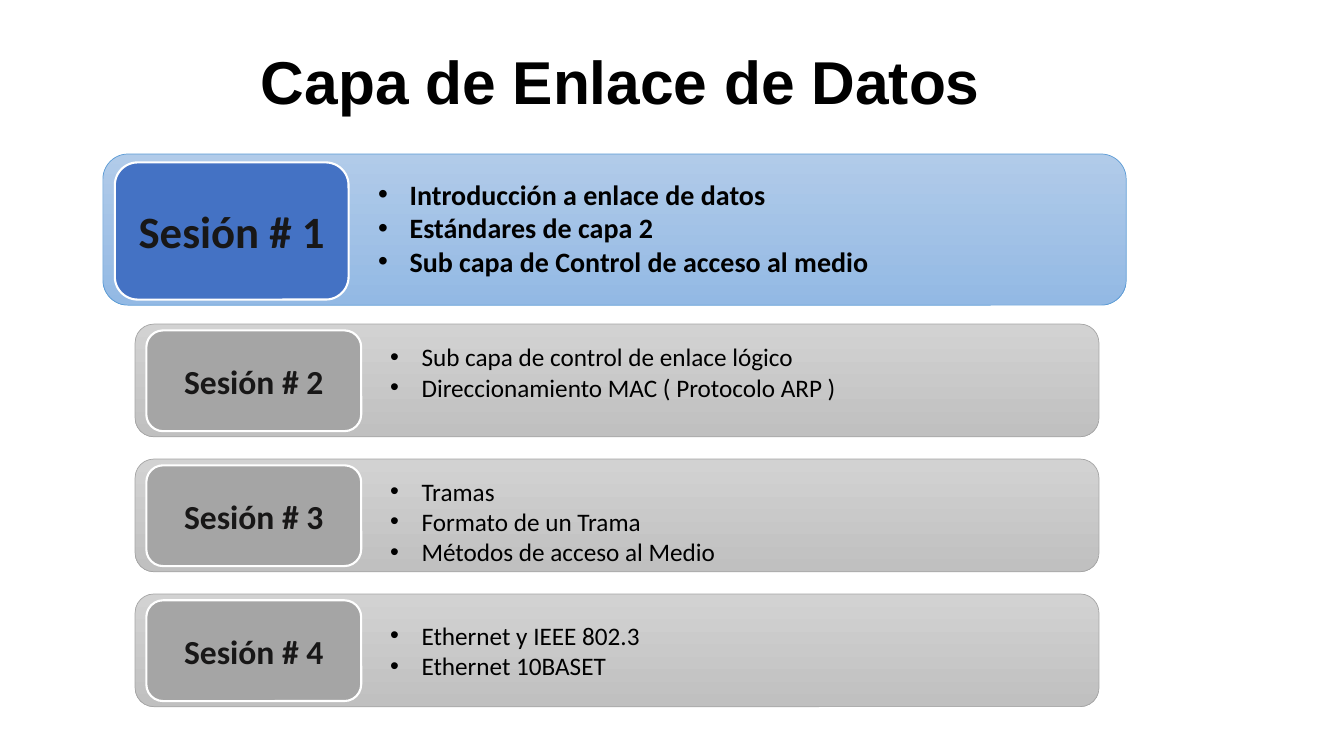
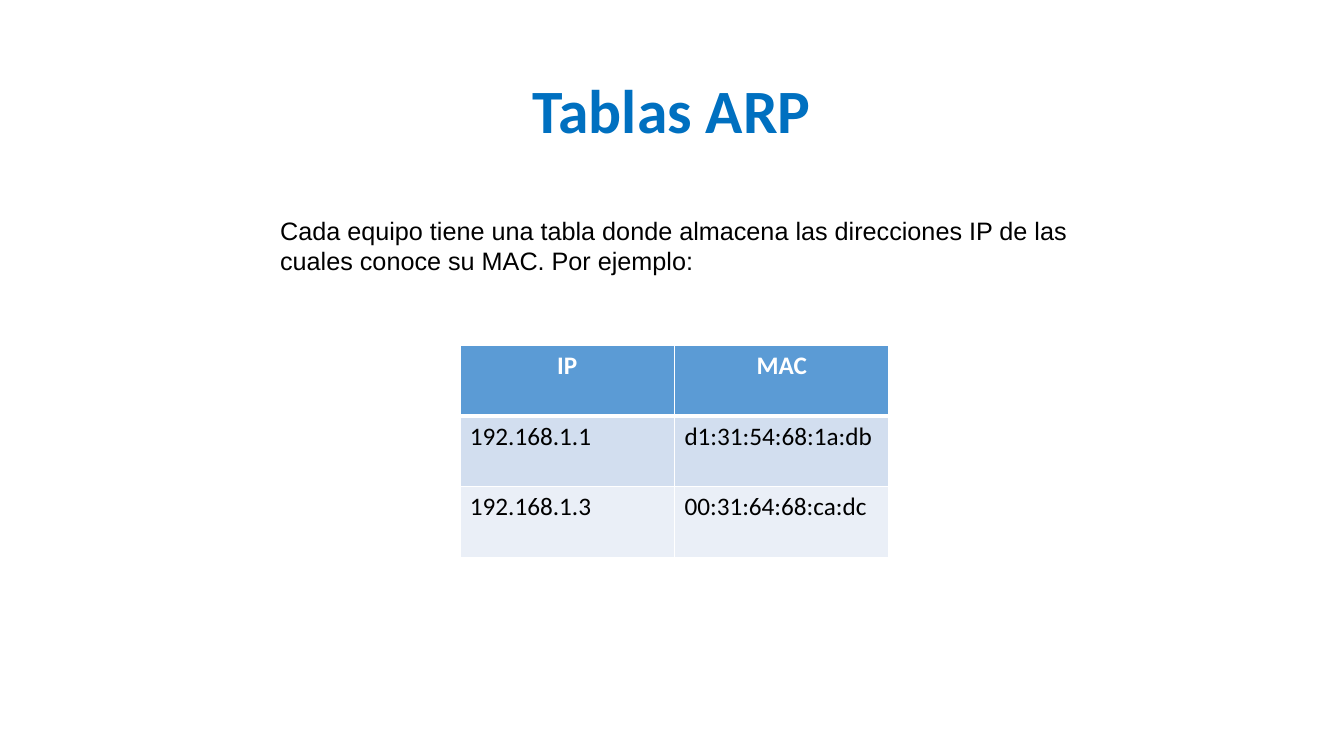
from dataclasses import dataclass

from lxml import etree
from pptx import Presentation
from pptx.dml.color import RGBColor
from pptx.enum.shapes import MSO_SHAPE
from pptx.enum.text import MSO_ANCHOR, PP_ALIGN
from pptx.oxml.ns import qn
from pptx.util import Pt

ROUNDED = MSO_SHAPE.ROUNDED_RECTANGLE
LEFT, CENTER = PP_ALIGN.LEFT, PP_ALIGN.CENTER
TOP, MIDDLE = MSO_ANCHOR.TOP, MSO_ANCHOR.MIDDLE
BLANK_LAYOUT = 6


@dataclass(frozen=True)
class Theme:
    body_font: str = "Calibri"
    plain_font: str = "Arial"
    black: str = "000000"
    white: str = "FFFFFF"
    title_blue: str = "0070C0"
    tag_text: str = "181717"
    active_tag: str = "4472C4"
    active_line: str = "5B9BD5"
    active_band: tuple = ("B1CBE9", "93B9E4")
    idle_gray: str = "A5A5A5"
    idle_band: tuple = ("D2D2D2", "C0C0C0")
    table_header: str = "5B9BD5"
    table_rows: tuple = ("D2DEEF", "EAEFF7")
    title_size: float = 44
    agenda_title_size: float = 43.2
    active_tag_size: float = 32
    idle_tag_size: float = 24
    active_list_size: float = 20
    body_size: float = 18


THEME = Theme()


class Slides:
    def __init__(self, theme):
        self.theme = theme
        self.deck = Presentation()
        self.deck.slide_width, self.deck.slide_height = Pt(960), Pt(540)
        self.page = None

    def new_page(self):
        self.page = self.deck.slides.add_slide(self.deck.slide_layouts[BLANK_LAYOUT])

    def fill_text(self, frame, lines, size, align=LEFT, bullets=False, spacing=None, **style):
        formats = {"name": self.theme.body_font, "size": Pt(size), "bold": False,
                   "color": self.theme.black, **style}
        color = RGBColor.from_string(formats.pop("color"))
        for index, line in enumerate(lines):
            para = frame.add_paragraph() if index else frame.paragraphs[0]
            para.alignment = align
            if spacing:
                para.line_spacing = spacing
            if bullets:
                self.bullet(para)
            span = para.add_run()
            span.text = line
            for name, value in formats.items():
                setattr(span.font, name, value)
            span.font.color.rgb = color

    def bullet(self, para):
        properties = para._p.get_or_add_pPr()
        properties.set("marL", str(Pt(22.5)))
        properties.set("indent", str(-Pt(22.5)))
        etree.SubElement(properties, qn("a:buFont"), typeface=self.theme.plain_font)
        etree.SubElement(properties, qn("a:buChar"), char="•")

    def text(self, area, lines, size, anchor=TOP, **style):
        box = self.page.shapes.add_textbox(*map(Pt, area))
        box.text_frame.word_wrap = True
        box.text_frame.vertical_anchor = anchor
        self.fill_text(box.text_frame, lines, size, **style)

    def title(self, area, words, size, **style):
        self.text(area, [words], size, anchor=MIDDLE, align=CENTER, bold=True, **style)

    def rounded(self, area, line, width):
        box = self.page.shapes.add_shape(ROUNDED, *map(Pt, area))
        box.shadow.inherit = False
        box.line.color.rgb = RGBColor.from_string(line)
        box.line.width = Pt(width)
        return box

    def band(self, area, colors, line):
        box = self.rounded(area, line, 0.5)
        box.fill.gradient()
        box.fill.gradient_angle = 270
        for stop, color in zip(box.fill.gradient_stops, colors):
            stop.color.rgb = RGBColor.from_string(color)

    def tag(self, area, label, fill, size):
        box = self.rounded(area, self.theme.white, 1.5)
        box.fill.solid()
        box.fill.fore_color.rgb = RGBColor.from_string(fill)
        box.text_frame.vertical_anchor = MIDDLE
        self.fill_text(box.text_frame, [label], size, align=CENTER, bold=True,
                       color=self.theme.tag_text)

    def borders(self, cell, **widths):
        properties = cell._tc.get_or_add_tcPr()
        for side in "LRTB":
            edge = etree.SubElement(properties, qn(f"a:ln{side}"),
                                    w=str(Pt(widths.get(side, 1))))
            fill = etree.SubElement(edge, qn("a:solidFill"))
            etree.SubElement(fill, qn("a:srgbClr"), val=self.theme.white)

    def table(self, area, rows):
        grid = self.page.shapes.add_table(len(rows), len(rows[0]), *map(Pt, area)).table
        grid.horz_banding = False
        header_style = {"align": CENTER, "bold": True, "color": self.theme.white}
        edges = ({"B": 3}, {"T": 3})
        fills = (self.theme.table_header, *self.theme.table_rows)
        for row, values in enumerate(rows):
            for column, value in enumerate(values):
                cell = grid.cell(row, column)
                self.borders(cell, **(edges[row] if row < len(edges) else {}))
                cell.fill.solid()
                cell.fill.fore_color.rgb = RGBColor.from_string(fills[row])
                self.fill_text(cell.text_frame, [value], self.theme.body_size,
                               **({} if row else header_style))


def agenda(slides):
    theme = slides.theme
    slides.new_page()
    slides.title((122.5, 51, 641.5, 23), "Capa de Enlace de Datos",
                 theme.agenda_title_size, name=theme.plain_font, spacing=0.8)
    slides.band((73.5, 110, 731, 108), theme.active_band, theme.active_line)
    slides.tag((82, 116, 167, 98), "Sesión # 1", theme.active_tag, theme.active_tag_size)
    slides.text((263, 123, 433, 80),
                ["Introducción a enlace de datos", "Estándares de capa 2",
                 "Sub capa de Control de acceso al medio"],
                theme.active_list_size, bullets=True, bold=True)
    idle_sessions = [
        (9, ["Sub capa de control de enlace lógico",
             "Direccionamiento MAC ( Protocolo ARP )"]),
        (8.5, ["Tramas", "Formato de un Trama", "Métodos de acceso al Medio"]),
        (15, ["Ethernet y IEEE 802.3", "Ethernet 10BASET"]),
    ]
    for index, (offset, topics) in enumerate(idle_sessions):
        top = 231.5 + 96.4 * index
        slides.band((96.5, top, 688.5, 80.5), theme.idle_band, theme.idle_gray)
        slides.tag((104.5, top + 4.5, 153.5, 72), f"Sesión # {index + 2}",
                   theme.idle_gray, theme.idle_tag_size)
        slides.text((271.5, top + offset, 505, 7.2 + 22 * len(topics)), topics,
                    theme.body_size, bullets=True)


def arp_tables(slides):
    theme = slides.theme
    slides.new_page()
    slides.title((66, 29, 828, 104), "Tablas ARP", theme.title_size,
                 color=theme.title_blue, spacing=0.9)
    slides.text((193, 150, 608.5, 51),
                ["Cada equipo tiene una tabla donde almacena las direcciones IP "
                 "de las cuales conoce su MAC. Por ejemplo:"],
                theme.body_size, name=theme.plain_font)
    slides.table((328.5, 247, 306.5, 151),
                 [("IP", "MAC"),
                  ("192.168.1.1", "d1:31:54:68:1a:db"),
                  ("192.168.1.3", "00:31:64:68:ca:dc")])


def main():
    slides = Slides(THEME)
    agenda(slides)
    arp_tables(slides)
    slides.deck.save("out.pptx")


if __name__ == "__main__":
    main()
